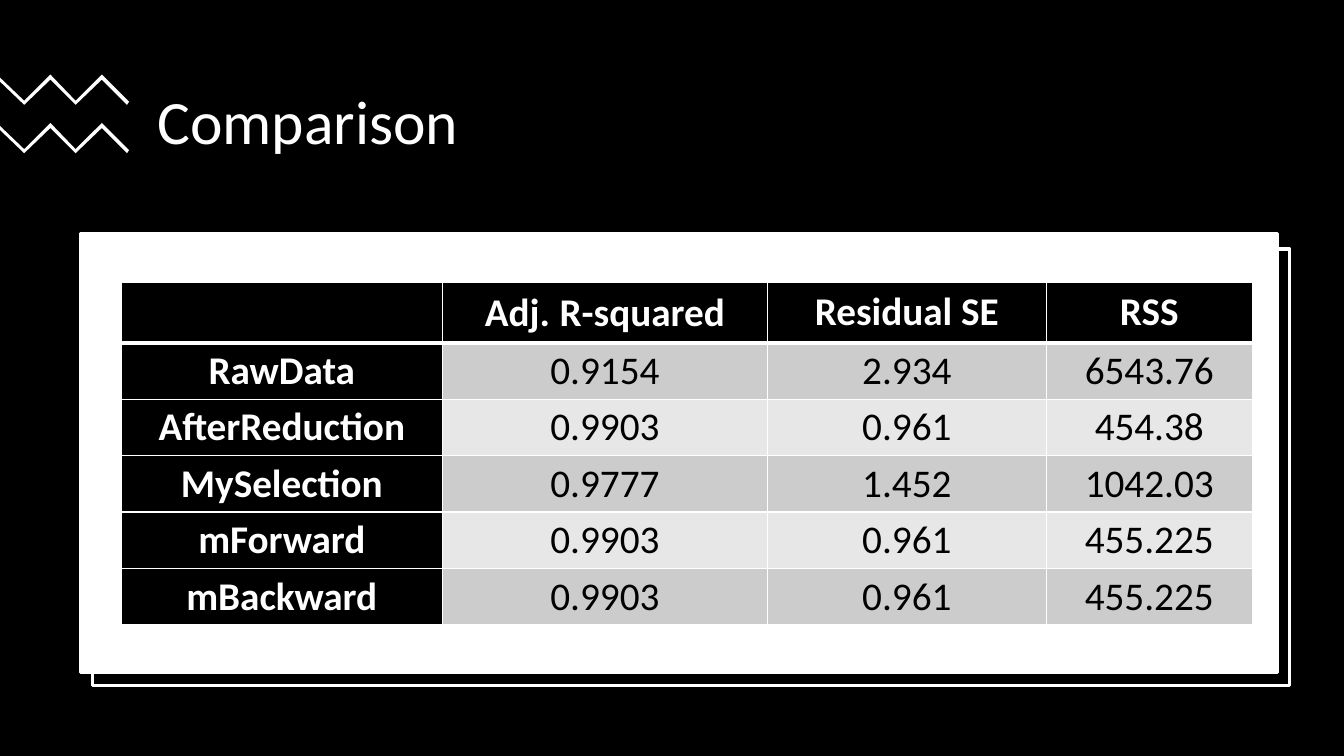
from dataclasses import dataclass

from lxml.etree import SubElement
from pptx import Presentation
from pptx.dml.color import RGBColor
from pptx.enum.shapes import MSO_SHAPE
from pptx.enum.text import MSO_ANCHOR, PP_ALIGN
from pptx.oxml.ns import qn
from pptx.util import Inches, Pt

# Content
TITLE = "Comparison"
HEADER = ["", "Adj. R-squared", "Residual SE", "RSS"]
MODELS = [
    ("RawData", "0.9154", "2.934", "6543.76"),
    ("AfterReduction", "0.9903", "0.961", "454.38"),
    ("MySelection", "0.9777", "1.452", "1042.03"),
    ("mForward", "0.9903", "0.961", "455.225"),
    ("mBackward", "0.9903", "0.961", "455.225"),
]
COL_WIDTHS = [3.19, 3.22, 2.77, 2.04]
HEADER_HEIGHT, ROW_HEIGHT = 0.6, 0.56

# Zigzag outline, measured from the top of each band
ZIGZAG = [(0.5, 0), (0.75, 0.26), (1.01, 0), (1.28, 0.27), (1.26, 0.3), (1.01, 0.05),
          (0.75, 0.3), (0.5, 0.05), (0.24, 0.3), (0, 0.07), (0, 0.03), (0.24, 0.26)]
ZIGZAG_TOPS = [0.74, 1.22]


@dataclass(frozen=True)
class Theme:
    font: str = "Calibri"
    black: RGBColor = RGBColor(0, 0, 0)
    white: RGBColor = RGBColor(255, 255, 255)
    bands: tuple = (RGBColor(0xCC, 0xCC, 0xCC), RGBColor(0xE7, 0xE7, 0xE7))
    title: Pt = Pt(44)
    cell: Pt = Pt(28)
    gap: Pt = Pt(30)
    frame: Pt = Pt(2.25)
    rule: Pt = Pt(1)
    header_rule: Pt = Pt(3)


THEME = Theme()


def paint(sp, fill, line=None):
    sp.shadow.inherit = False
    sp.fill.solid()
    sp.fill.fore_color.rgb = fill
    if line is None:
        sp.line.fill.background()
    else:
        sp.line.color.rgb = line
        sp.line.width = THEME.frame


def add_box(shapes, box, fill, line=None):
    sp = shapes.add_shape(MSO_SHAPE.RECTANGLE, *map(Inches, box))
    paint(sp, fill, line)
    return sp


def style_run(r, size, color, bold=False):
    r.font.name = THEME.font
    r.font.size = size
    r.font.color.rgb = color
    r.font.bold = bold


def set_borders(cell, widths):
    tcPr = cell._tc.get_or_add_tcPr()
    for i, (side, width) in enumerate(widths.items()):
        ln = SubElement(tcPr, qn(f"a:ln{side}"), w=str(width))
        fill = SubElement(ln, qn("a:solidFill"))
        SubElement(fill, qn("a:srgbClr"), val=str(THEME.white))
        tcPr.insert(i, ln)


def fill_cell(cell, text, row, col):
    is_label = row == 0 or col == 0
    cell.fill.solid()
    cell.fill.fore_color.rgb = THEME.black if is_label else THEME.bands[(row - 1) % 2]
    cell.vertical_anchor = MSO_ANCHOR.MIDDLE
    cell.margin_left = cell.margin_right = Inches(0.19)
    cell.margin_top = cell.margin_bottom = 0
    p = cell.text_frame.paragraphs[0]
    p.alignment = PP_ALIGN.CENTER
    # The space in the first metric's heading is slightly larger than its words
    parts = text.partition(" ") if (row, col) == (0, 1) else (text,)
    for part in filter(None, parts):
        r = p.add_run()
        r.text = part
        style_run(r, THEME.gap if part == " " else THEME.cell,
                  THEME.white if is_label else THEME.black, is_label)
    set_borders(cell, {
        "L": THEME.rule,
        "R": THEME.rule,
        "T": THEME.header_rule if row == 1 else THEME.rule,
        "B": THEME.header_rule if row == 0 else THEME.rule,
    })


def main():
    prs = Presentation()
    prs.slide_width, prs.slide_height = Inches(13.33), Inches(7.5)
    slide = prs.slides.add_slide(prs.slide_layouts[5])
    shapes = slide.shapes

    # Title over a black backdrop
    title = shapes.title
    title.left, title.top, title.width, title.height = map(Inches, (1.46, 0.62, 10.66, 1.23))
    tf = title.text_frame
    tf.text = TITLE
    tf.vertical_anchor = MSO_ANCHOR.MIDDLE
    p = tf.paragraphs[0]
    p.alignment = PP_ALIGN.LEFT
    p.line_spacing = 0.9
    style_run(p.runs[0], THEME.title, THEME.white)
    backdrop = add_box(shapes, (0, 0, 13.33, 7.5), THEME.black)
    title.element.addprevious(backdrop.element)

    # Zigzag bands
    for top in ZIGZAG_TOPS:
        points = [(Inches(x), Inches(top + y)) for x, y in ZIGZAG]
        builder = shapes.build_freeform(*points[0])
        builder.add_line_segments(points[1:], close=True)
        paint(builder.convert_to_shape(), THEME.white)

    # Offset outline and white card
    add_box(shapes, (0.92, 2.47, 11.87, 4.33), THEME.black, THEME.white)
    add_box(shapes, (0.8, 2.32, 11.87, 4.35), THEME.white, THEME.white)

    # Comparison table
    rows = [HEADER, *MODELS]
    heights = [HEADER_HEIGHT] + [ROW_HEIGHT] * len(MODELS)
    table = shapes.add_table(len(rows), len(HEADER), Inches(1.2), Inches(2.8),
                             Inches(sum(COL_WIDTHS)), Inches(sum(heights))).table
    table.first_col = True
    for column, width in zip(table.columns, COL_WIDTHS):
        column.width = Inches(width)
    for i, (values, height) in enumerate(zip(rows, heights)):
        table.rows[i].height = Inches(height)
        for j, text in enumerate(values):
            fill_cell(table.cell(i, j), text, i, j)

    prs.save("out.pptx")


if __name__ == "__main__":
    main()
